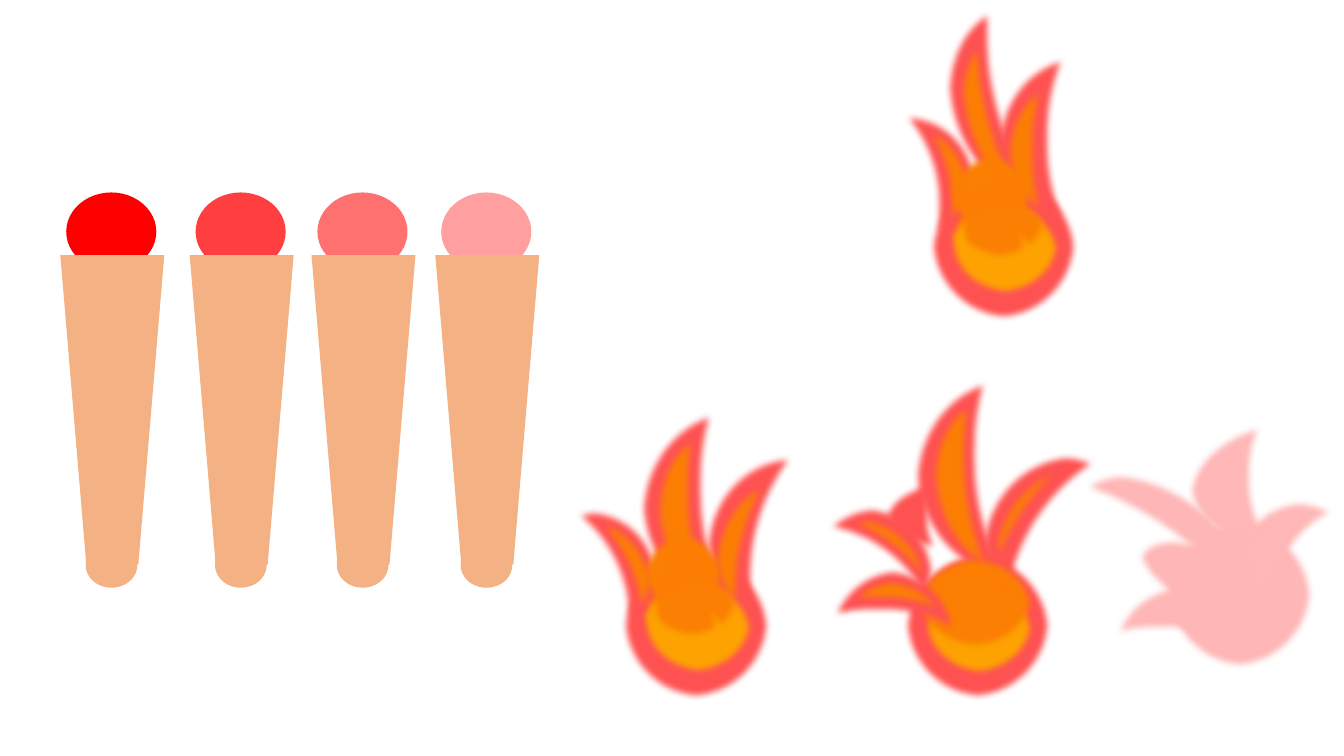
from lxml import etree
from pptx import Presentation
from pptx import util as u
from pptx.dml.color import RGBColor
from pptx.enum import shapes
from pptx.oxml.ns import qn

OVAL = shapes.MSO_SHAPE.OVAL
MOON = shapes.MSO_SHAPE.MOON
TRAPEZOID = shapes.MSO_SHAPE.TRAPEZOID
RED, ORANGE, YELLOW, PINK, WOOD = "FF5353", "FC8004", "FEA402", "FFB7B7", "F4B183"
BALL = 3.84

prs = Presentation()
prs.slide_width, prs.slide_height = u.Cm(33.87), u.Cm(19.05)
s = prs.slides.add_slide(prs.slide_layouts[6])


def add(kind, color, x, y, w, h, rot=0):
    sp = s.shapes.add_shape(kind, u.Cm(x), u.Cm(y), u.Cm(w), u.Cm(h))
    sp.rotation = rot
    sp.fill.solid()
    sp.fill.fore_color.rgb = RGBColor.from_string(color)
    sp.line.fill.background()
    sp.shadow.inherit = False
    return sp


def add_soft(kind, color, *box):
    sp = add(kind, color, *box)
    if kind == MOON:
        sp.adjustments[0] = 0.74
    effects = sp._element.spPr.find(qn("a:effectLst"))
    etree.SubElement(effects, qn("a:softEdge"), rad=str(u.Pt(5)))


matches = [(1.52, "FF0000"), (4.78, "FF3F3F"), (7.85, "FF7171"), (10.97, "FF9F9F")]
for x, head in matches:
    add(OVAL, head, x + 0.15, 4.85, 2.27, 1.98)
    add(OVAL, WOOD, x + 0.64, 13.67, 1.3, 1.14)
    add(TRAPEZOID, WOOD, x, 6.43, 2.62, 7.8, 180)

upright_flames = [
    (15.62, 13.84,
     [(17.75, 11.18, 2.01, 4.37, 14), (14.83, 12.4, 1.75, 3.38, 153.7),
      (16.08, 10.36, 2.41, 5.26, 353.3)],
     [(17.98, 11.91, 1.19, 3.48, 14), (15.34, 12.78, 1.07, 2.79, 154.2),
      (16.48, 10.92, 1.45, 4.42, 353.3)]),
    (23.37, 4.29,
     [(25.07, 1.32, 2.01, 4.37, 0), (22.91, 2.59, 1.75, 3.38, 164.4),
      (23.88, 0.25, 2.01, 5.26, 343.2)],
     [(25.3, 2.06, 1.19, 3.48, 0), (23.42, 2.97, 1.07, 2.79, 164.9),
      (24.28, 0.99, 1.19, 4.42, 343.2)]),
]
core = [
    (OVAL, ORANGE, 0.58, 0.5, 2.49, 1.8, 0),
    (OVAL, ORANGE, 0.48, -0.5, 2.24, 2.21, 0),
    (MOON, YELLOW, 0.45, 0.96, 0.89, 1.47, 0),
    (MOON, YELLOW, 2.01, 1.13, 0.81, 1.85, 165),
]
for x, y, outer, inner in upright_flames:
    add_soft(OVAL, RED, x, y, BALL, BALL)
    for tongue in outer:
        add_soft(MOON, RED, *tongue)
    add_soft(OVAL, YELLOW, x + 0.51, y + 0.72, 2.9, 2.49)
    for tongue in inner:
        add_soft(MOON, ORANGE, *tongue)
    for kind, color, dx, dy, w, h, rot in core:
        add_soft(kind, color, x + dx, y + dy, w, h, rot)

spread_flame = [
    (OVAL, RED, 22.71, 13.84, BALL, BALL),
    (MOON, RED, 24.89, 10.77, 2.01, 4.37, 33.2),
    (MOON, RED, 21.56, 12.04, 1.75, 3.38, 127),
    (MOON, RED, 22.99, 9.55, 2.41, 5.26, 353.3),
    (OVAL, YELLOW, 23.22, 14.58, 2.9, 2.49),
    (OVAL, ORANGE, 23.01, 13.94, 3.12, 2.49),
    (MOON, RED, 21.72, 13.44, 1.75, 3.38, 97),
    (MOON, RED, 22.2, 11.99, 1.8, 2.01),
    (MOON, ORANGE, 23.44, 10.06, 1.45, 4.42, 353.3),
    (MOON, ORANGE, 25.3, 11.33, 0.94, 3.07, 34.3),
    (MOON, ORANGE, 22, 12.37, 0.97, 2.67, 127.6),
    (MOON, ORANGE, 22.15, 13.69, 0.97, 2.67, 98.1),
]
pale_flame = [
    (OVAL, PINK, 29.31, 13.06, BALL, BALL),
    (MOON, PINK, 31.17, 12.09, 2.01, 3.45, 33.2),
    (MOON, PINK, 28.96, 10.54, 1.75, 5.66, 127),
    (MOON, PINK, 29.87, 10.67, 2.41, 3.35, 353.3),
    (MOON, PINK, 28.85, 13.87, 1.75, 3.38, 97),
    (MOON, PINK, 28.52, 13.36, 2.54, 2.01, 23.1),
]
for part in spread_flame + pale_flame:
    add_soft(*part)

prs.save("out.pptx")
